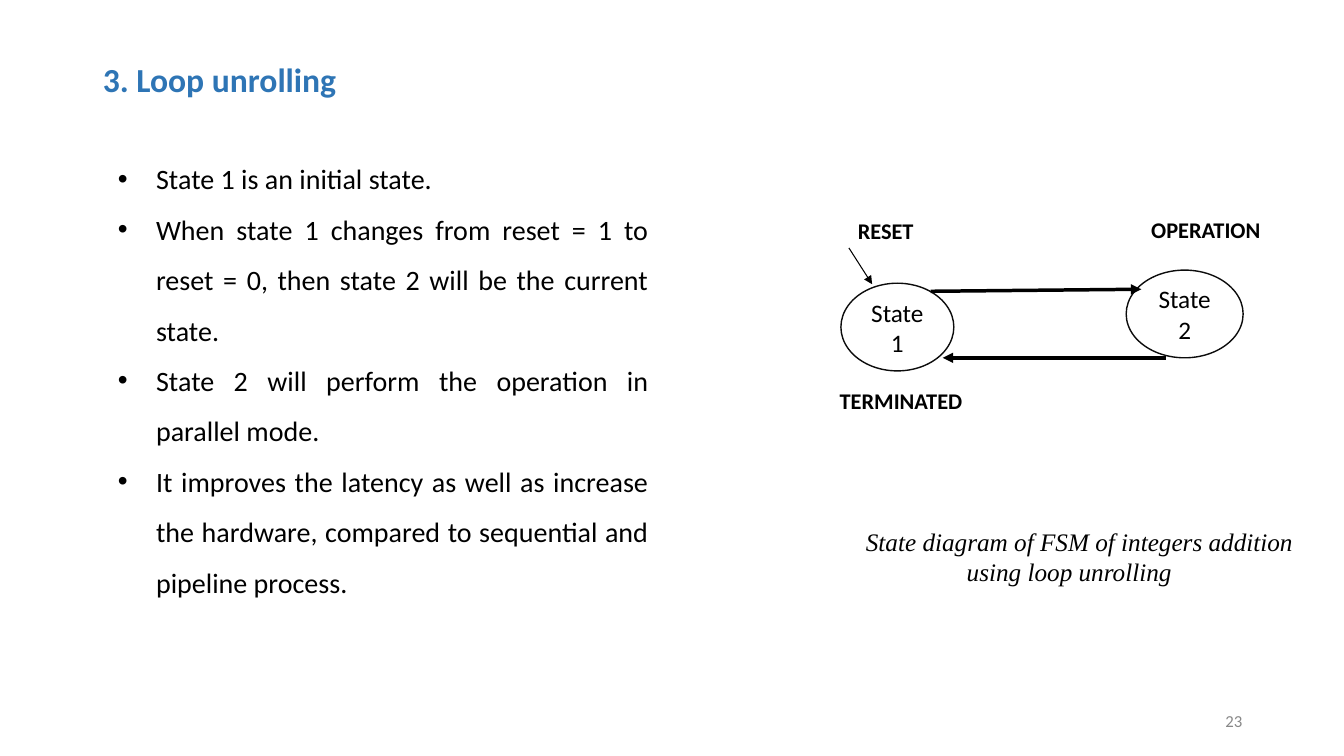
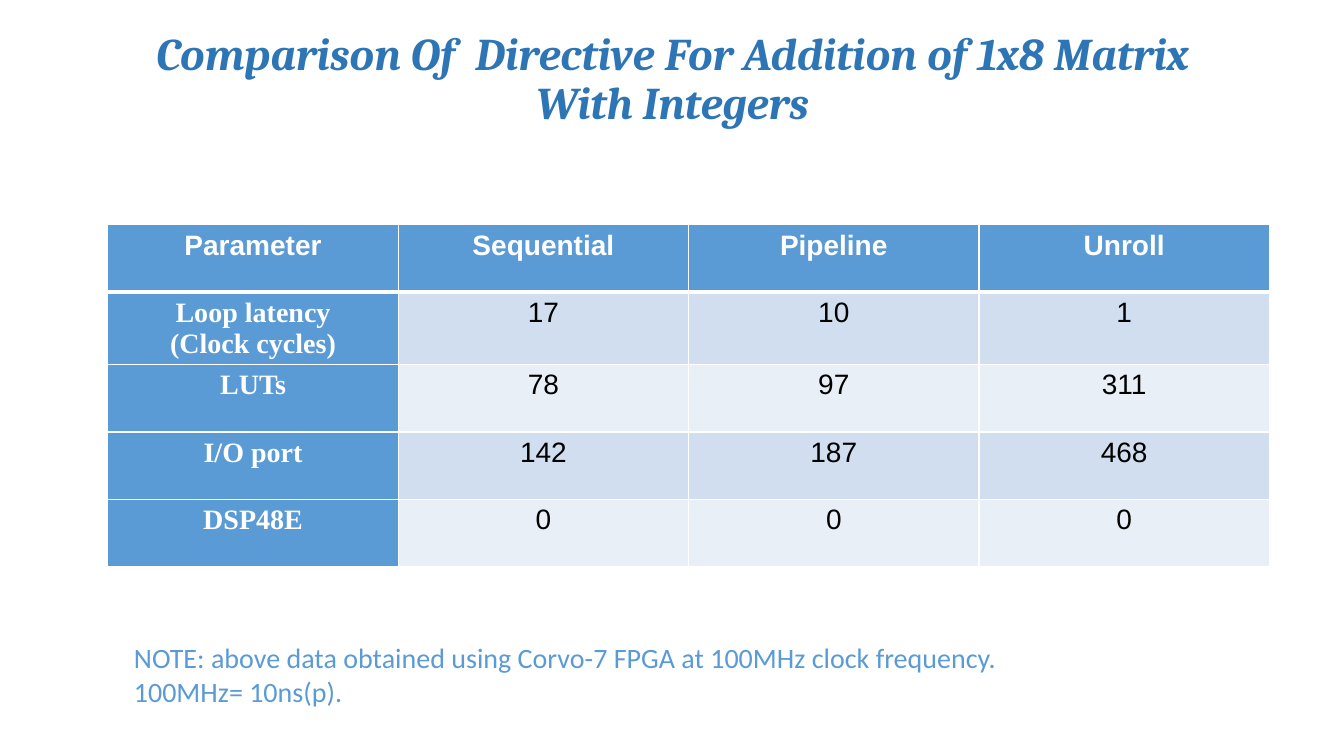
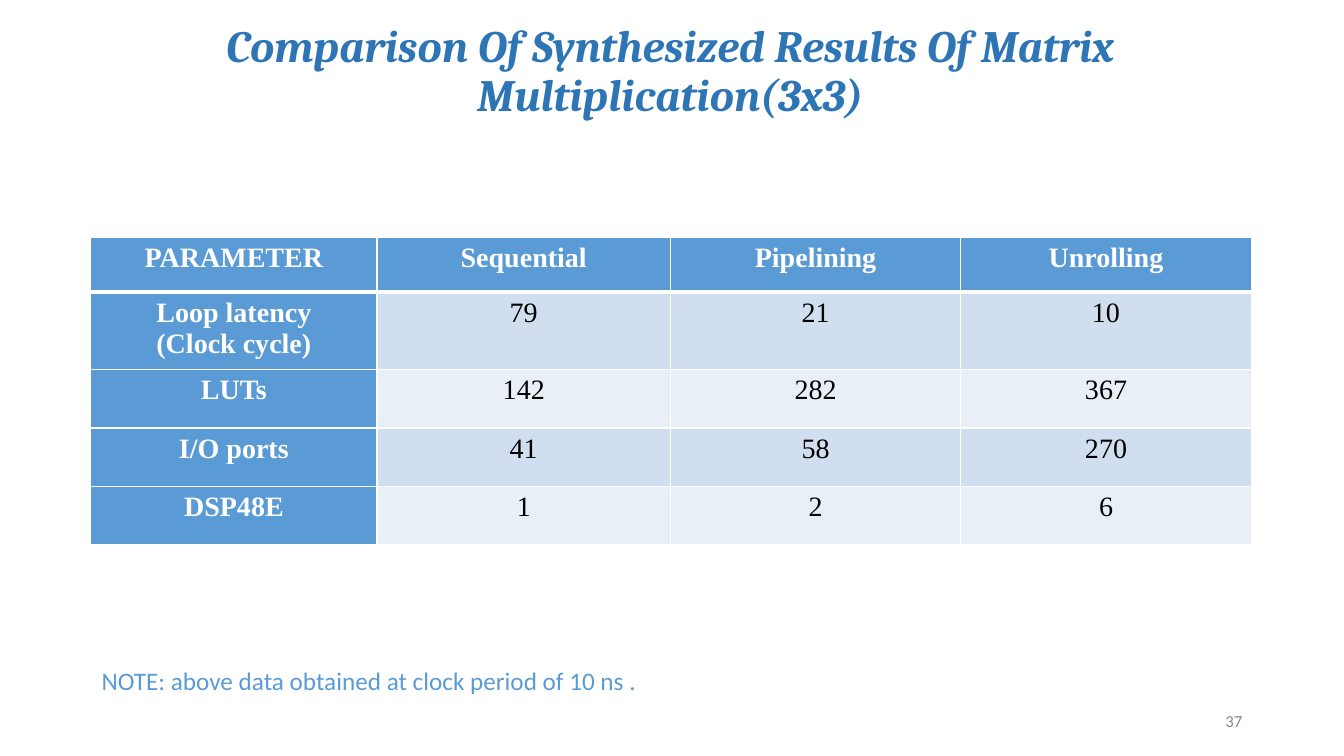
from pptx import Presentation
from pptx.dml.color import RGBColor
from pptx.enum import shapes, text
from pptx.oxml import parse_xml
from pptx.oxml import ns
from pptx.util import Inches, Pt

# Shared colours, fonts and alignments
WHITE = RGBColor(0xFF, 0xFF, 0xFF)
BLACK = RGBColor(0, 0, 0)
INK = RGBColor(0x0C, 0x0C, 0x0C)
GRAY = RGBColor(0x88, 0x88, 0x88)
NAVY = RGBColor(0x2E, 0x75, 0xB5)
BLUE = RGBColor(0x5B, 0x9B, 0xD5)
BANDS = RGBColor(0xD0, 0xDE, 0xEF), RGBColor(0xE9, 0xEF, 0xF7)
BODY, SERIF, SANS, HEAD = "Calibri", "Times New Roman", "Arial", "Cambria"
ALIGN, ANCHOR = text.PP_ALIGN, text.MSO_ANCHOR
MID = ALIGN.CENTER


def put(item, **vals):
    """Set each named format value on an object."""
    for key, val in vals.items():
        setattr(item, key, val)


def box(at):
    return [Inches(v) for v in at]


def write(frame, lines, size, color=BLACK, face=BODY, bold=False,
          italic=False, **form):
    """Fill a text frame, one paragraph per line."""
    for i, line in enumerate(lines):
        par = frame.add_paragraph() if i else frame.paragraphs[0]
        put(par, **form)
        run = par.add_run()
        run.text = line
        put(run.font, size=Pt(size), name=face, bold=bold, italic=italic)
        run.font.color.rgb = color


def indent(par, left, first=0):
    props = par._p.get_or_add_pPr()
    props.set("marL", str(Inches(left)))
    props.set("indent", str(Inches(first)))
    return props


# Kinds of element
def start(deck, title, at, size, face, anchor, **form):
    """Add a slide with a formatted title."""
    slide = deck.slides.add_slide(deck.slide_layouts[5])
    head = slide.shapes.title
    put(head, **dict(zip(("left", "top", "width", "height"), box(at))))
    put(head.text_frame, vertical_anchor=anchor, word_wrap=True,
        auto_size=text.MSO_AUTO_SIZE.NONE)
    write(head.text_frame, [title], size, NAVY, face, True,
          line_spacing=0.9, **form)
    return slide


def label(slide, at, lines, size, *look, anchor=ANCHOR.TOP, **form):
    frame = slide.shapes.add_textbox(*box(at)).text_frame
    put(frame, word_wrap=True, vertical_anchor=anchor)
    write(frame, lines, size, *look, **form)
    return frame


def number(slide, num):
    label(slide, (9.42, 6.95, 3, 0.4), [num], 12, GRAY,
          anchor=ANCHOR.MIDDLE, alignment=ALIGN.RIGHT)


def bullets(slide, at, lines):
    frame = label(slide, at, lines, 20, alignment=ALIGN.JUSTIFY,
                  line_spacing=1.5)
    for par in frame.paragraphs:
        props = indent(par, 0.38, -0.38)
        props.append(parse_xml(
            f'<a:buFont {ns.nsdecls("a")} typeface="Arial"/>'))
        props.append(parse_xml(f'<a:buChar {ns.nsdecls("a")} char="•"/>'))


def state(slide, at, name):
    oval = slide.shapes.add_shape(shapes.MSO_SHAPE.OVAL, *box(at))
    oval.shadow.inherit = False
    oval.fill.solid()
    oval.fill.fore_color.rgb = WHITE
    oval.line.color.rgb = INK
    oval.line.width = Pt(1)
    put(oval.text_frame, word_wrap=True, vertical_anchor=ANCHOR.MIDDLE)
    write(oval.text_frame, [name], 18, alignment=MID)


def arrow(slide, ends, width):
    line = slide.shapes.add_connector(
        shapes.MSO_CONNECTOR.STRAIGHT, *box(ends))
    line.line.color.rgb = BLACK
    line.line.width = Pt(width)
    line.line._get_or_add_ln().append(parse_xml(
        f'<a:tailEnd {ns.nsdecls("a")} type="triangle"/>'))
    line._element.spPr.append(parse_xml(
        f'<a:effectLst {ns.nsdecls("a")}/>'))


def edges(cell, base):
    """Draw white cell borders; base is the width of the bottom one."""
    props = cell._tc.get_or_add_tcPr()
    for side, width in zip("LRTB", (1, 1, 1, base)):
        props.append(parse_xml(
            f'<a:ln{side} {ns.nsdecls("a")} w="{Pt(width)}"><a:solidFill>'
            f'<a:srgbClr val="{WHITE}"/></a:solidFill></a:ln{side}>'))


def grid(slide, at, cols, rows, data, face):
    """Add a table; face is the font of the header row and the values."""
    size = sum(cols), sum(rows)
    table = slide.shapes.add_table(
        len(data), len(cols), *box((*at, *size))).table
    put(table, first_row=False, horz_banding=False)
    for col, wide in zip(table.columns, cols):
        col.width = Inches(wide)
    for r, (row, tall) in enumerate(zip(data, rows)):
        table.rows[r].height = Inches(tall)
        for c, value in enumerate(row):
            cell = table.cell(r, c)
            lead = r == 0 or c == 0
            edges(cell, 1 if r else 3)
            cell.fill.solid()
            cell.fill.fore_color.rgb = BLUE if lead else BANDS[(r - 1) % 2]
            write(cell.text_frame, value.split("\n"), 20,
                  WHITE if lead else BLACK,
                  SERIF if r and c == 0 else face, lead, alignment=MID)


# Slides
def unroll(deck):
    slide = start(deck, "3. Loop unrolling", (0.92, 0.4, 11.5, 0.81), 24,
                  BODY, ANCHOR.MIDDLE, alignment=ALIGN.LEFT)
    number(slide, "23")
    # State diagram
    state(slide, (8.34, 2.81, 1.12, 0.87), "State 1")
    state(slide, (11.17, 2.68, 1.16, 0.87), "State 2")
    for ends, width in (((9.23, 2.89, 11.32, 2.87), 2.5),
                        ((11.56, 3.55, 9.35, 3.55), 2.5),
                        ((8.42, 2.46, 8.65, 2.82), 0.75)):
        arrow(slide, ends, width)
    for name, left, top, wide in (("RESET", 8.41, 2.11, 1.76),
                                  ("TERMINATED", 8.23, 3.79, 1.55),
                                  ("OPERATION", 11.32, 2.1, 1.56)):
        label(slide, (left, top, wide, 0.37), [name], 16, BLACK, BODY, True)
    note = label(slide, (8.25, 5.17, 4.97, 0.71),
                 ["State diagram of FSM of integers addition",
                  "using loop unrolling"], 18, BLACK, SERIF, False, True)
    for par, left in zip(note.paragraphs, (0.24, 1.24)):
        indent(par, left)
    # Explanation
    bullets(slide, (1.07, 1.39, 5.46, 4.64), [
        "State 1 is an initial state.",
        "When state 1 changes from reset = 1 to reset = 0, then state 2 "
        "will be the current state.",
        "State 2 will perform the operation in parallel mode.",
        "It improves the latency as well as increase the hardware, "
        "compared to sequential and pipeline process."])


def adding(deck):
    slide = start(
        deck, "Comparison Of  Directive For Addition of 1x8 Matrix "
        "With Integers", (0.92, 0.26, 11.5, 1.45), 32.4, HEAD, ANCHOR.TOP,
        italic=True, alignment=MID)
    grid(slide, (1.07, 2.23), [2.88] * 4, [0.67] * 5, [
        ("Parameter", "Sequential", "Pipeline", "Unroll"),
        ("Loop latency\n(Clock cycles)", "17", "10", "1"),
        ("LUTs", "78", "97", "311"),
        ("I/O port", "142", "187", "468"),
        ("DSP48E", "0", "0", "0")], SANS)
    label(slide, (1.23, 6.31, 11.18, 0.77),
          ["NOTE: above data obtained using Corvo-7 FPGA at 100MHz clock "
           "frequency.", "100MHz= 10ns(p)."], 20, BLUE)


def product(deck):
    slide = start(
        deck, "Comparison Of Synthesized Results Of Matrix "
        "Multiplication(3x3)", (0.9, 0.19, 11.5, 1.45), 32, HEAD, ANCHOR.TOP,
        italic=True, alignment=MID)
    number(slide, "37")
    grid(slide, (0.9, 2.36), [2.84, 2.91, 2.88, 2.88], [0.54] + [0.58] * 4, [
        ("PARAMETER", "Sequential", "Pipelining", "Unrolling"),
        ("Loop latency\n(Clock cycle)", "79", "21", "10"),
        ("LUTs", "142", "282", "367"),
        ("I/O ports", "41", "58", "270"),
        ("DSP48E", "1", "2", "6")], SERIF)
    label(slide, (0.91, 6.55, 9.04, 0.4),
          ["NOTE: above data obtained at clock period of 10 ns ."], 18, BLUE)


def main():
    deck = Presentation()
    put(deck, slide_width=Inches(13.33), slide_height=Inches(7.5))
    for make in (unroll, adding, product):
        make(deck)
    deck.save("out.pptx")


if __name__ == "__main__":
    main()
